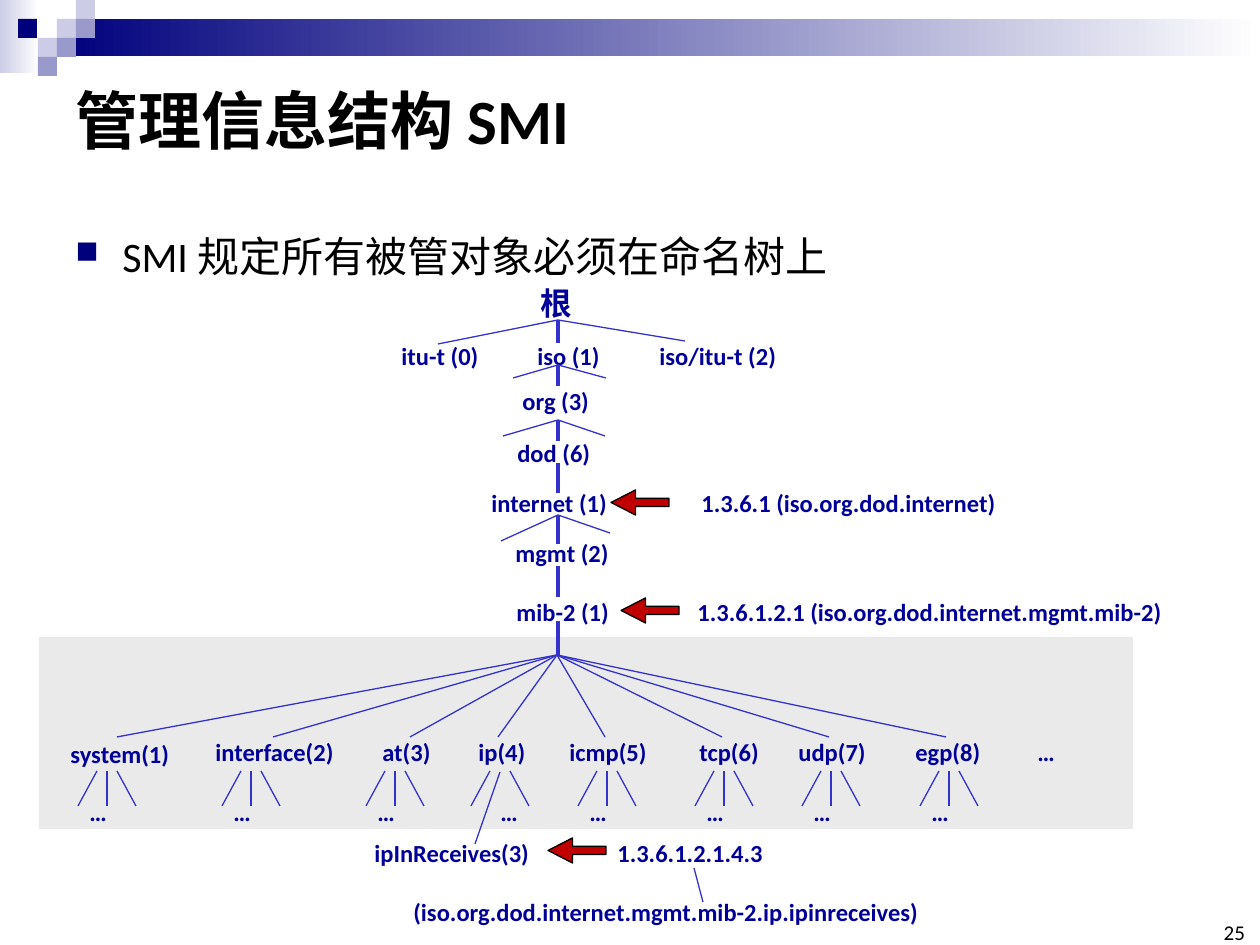
import pptx
import pptx.util
import pptx.dml.color
import pptx.enum.text
import pptx.enum.shapes
import lxml.etree

THEME = {
    "font": "Calibri", "black": "000000", "ink": "000099", "line": "3333CC",
    "navy": "00007D", "mid": "9999CC", "pale": "CCCCE6", "white": "FFFFFF",
    "band": "EAEAEA", "arrow": "C00000",
    "title": 36, "body": 24, "root": 18, "node": 14, "page": 12,
    "thin": 0.75, "thick": 2.25,
}
PX = 914400 / 126
ROW, SIDE, AXIS = 43, 19, 558

TITLE = "管理信息结构 SMI"
BODY = "SMI 规定所有被管对象必须在命名树上"
PAGE = "25"

FADES = [((0, 0, 39, 73), "pale"), ((57, 19, 1203, 37), "navy")]
TILES = [(57, 19, "pale"), (76, 0, "pale"), (76, 19, "mid"), (38, 38, "pale"),
         (18, 19, "navy"), (57, 38, "mid"), (38, 57, "mid")]
BAND = (39, 637, 1094, 192)
NODES = [
    ("iso (1)", 525, 335, 90), ("itu-t (0)", 389, 335, 105),
    ("iso/itu-t (2)", 647, 335, 145), ("org (3)", 510, 380, 94),
    ("dod (6)", 505, 432, 100), ("mgmt (2)", 503, 532, 119),
    ("ipInReceives(3)", 362, 832, 189), ("1.3.6.1.2.1.4.3", 605, 832, 174),
    ("(iso.org.dod.internet.mgmt.mib-2.ip.ipinreceives)", 401, 891, 539),
    ("…", 1025, 731, 43),
]
PAIRS = [
    ("internet (1)\t1.3.6.1 (iso.org.dod.internet)", 479, 482, 537, 210),
    ("mib-2 (1)\t1.3.6.1.2.1 (iso.org.dod.internet.mgmt.mib-2)", 504, 591, 675, 181),
]
TRUNK = [(320, 343), (365, 386), (420, 441), (463, 493),
         (515, 544), (566, 597), (621, 656)]
FORKS = {320: [(438, 344), (685, 341)], 365: [(513, 378), (606, 378)],
         420: [(503, 436), (605, 436)], 515: [(501, 541), (610, 533)]}
LINKS = [(500, 772, 475, 844), (703, 902, 694, 868)]
ARROWS = [(611, 490), (621, 598), (548, 838)]
# name, left, top, width, fan end, tick centre, dots offset
LEAVES = [
    ("system(1)", 58, 733, 126, 117, 107, -30),
    ("interface(2)", 203, 731, 146, 273, 251, -30),
    ("at(3)", 370, 731, 74, 410, 395, -30),
    ("ip(4)", 466, 731, 73, 498, 500, -12),
    ("icmp(5)", 557, 731, 105, 605, 607, -30),
    ("tcp(6)", 687, 731, 86, 722, 724, -30),
    ("udp(7)", 786, 731, 94, 829, 831, -30),
    ("egp(8)", 903, 731, 92, 946, 949, -30),
]

deck = pptx.Presentation()
deck.slide_width, deck.slide_height = pptx.util.Inches(10), pptx.util.Inches(7.5)
slide = deck.slides.add_slide(deck.slide_layouts[6])
KIND = pptx.enum.shapes.MSO_SHAPE
ANCHOR = pptx.enum.text.MSO_ANCHOR
FIT = pptx.enum.text.MSO_AUTO_SIZE


def emu(*spans):
    return [round(span * PX) for span in spans]


def tint(name):
    return pptx.dml.color.RGBColor.from_string(THEME[name])


def apply(item, style):
    for key, value in style.items():
        setattr(item, key, value)


def tag(node, name, **attrs):
    space = "{http://schemas.openxmlformats.org/drawingml/2006/main}"
    return lxml.etree.SubElement(node, space + name, attrs)


def shape(kind, spot, fill=None):
    form = slide.shapes.add_shape(kind, *emu(*spot))
    form.shadow.inherit = False
    form.line.fill.background()
    if fill:
        form.fill.solid()
        form.fill.fore_color.rgb = tint(fill)
    return form


def write(text, spot, size="node", color="ink", bold=True, **frame):
    box = slide.shapes.add_textbox(*emu(*spot)).text_frame
    apply(box, {"word_wrap": False, "auto_size": FIT.SHAPE_TO_FIT_TEXT, **frame})
    para = box.paragraphs[0]
    run = para.add_run()
    run.text = text
    apply(run.font, {"name": THEME["font"], "size": pptx.util.Pt(THEME[size]),
                     "bold": bold})
    run.font.color.rgb = tint(color)
    return para


def line(x1, y1, x2, y2, width="thin"):
    straight = pptx.enum.shapes.MSO_CONNECTOR.STRAIGHT
    link = slide.shapes.add_connector(straight, *emu(x1, y1, x2, y2))
    link.line.color.rgb = tint("line")
    link.line.width = pptx.util.Pt(THEME[width])
    tag(link._element.spPr, "effectLst")


for spot, shade in FADES:
    fill = shape(KIND.RECTANGLE, spot).fill
    fill.gradient()
    fill.gradient_angle = 0
    for stop, name in zip(fill.gradient_stops, (shade, "white")):
        stop.color.rgb = tint(name)
for left, top, shade in TILES:
    shape(KIND.RECTANGLE, (left, top, SIDE, SIDE), shade)

fixed = {"word_wrap": True, "auto_size": FIT.NONE}
write(TITLE, (63, 63, 1134, 112), "title", "black",
      vertical_anchor=ANCHOR.MIDDLE, **fixed)
para = write(BODY, (63, 199, 1182, 112), "body", "black", False, **fixed)
props = para._p.get_or_add_pPr()
indent = emu(47)[0]
props.set("marL", str(indent))
props.set("indent", str(-indent))
tag(tag(props, "buClr"), "srgbClr", val=THEME["navy"])
tag(props, "buSzPct", val="75000")
tag(props, "buChar", char="■")
para.line_spacing = 1.5
flush = dict.fromkeys(("margin_left", "margin_top", "margin_right", "margin_bottom"), 0)
para = write(PAGE, (1212, 930, 33, 15), "page", "black", False,
             vertical_anchor=ANCHOR.BOTTOM, **fixed, **flush)
para.alignment = pptx.enum.text.PP_ALIGN.RIGHT

shape(KIND.RECTANGLE, BAND, "band")
write("根", (528, 278, 58, 52), "root")
for text, left, top, width in NODES:
    write(text, (left, top, width, ROW))
for text, left, top, width, stop in PAIRS:
    para = write(text, (left, top, width, ROW))
    tabs = tag(para._p.get_or_add_pPr(), "tabLst")
    tag(tabs, "tab", pos=str(emu(stop)[0]), algn="l")

for top, base in TRUNK:
    line(AXIS, top, AXIS, base, "thick")
for top, ends in FORKS.items():
    for end in ends:
        line(AXIS, top, *end)
for ends in LINKS:
    line(*ends)
for text, left, top, width, end, tick, shift in LEAVES:
    write(text, (left, top, width, ROW))
    line(AXIS - 1, 655, end, 737)
    for side in (-1, 1) if text == "ip(4)" else (-1, 0, 1):
        line(tick + 10 * side, 771, tick + 29 * side, 806)
    write("…", (tick + shift, 791, ROW, ROW))

for left, top in ARROWS:
    arrow = shape(KIND.LEFT_ARROW, (left, top, 58, 25), "arrow")
    arrow.adjustments[0], arrow.adjustments[1] = 0.33, 0.98
    arrow.line.color.rgb = tint("black")
    arrow.line.width = pptx.util.Pt(THEME["thin"])

deck.save("out.pptx")
